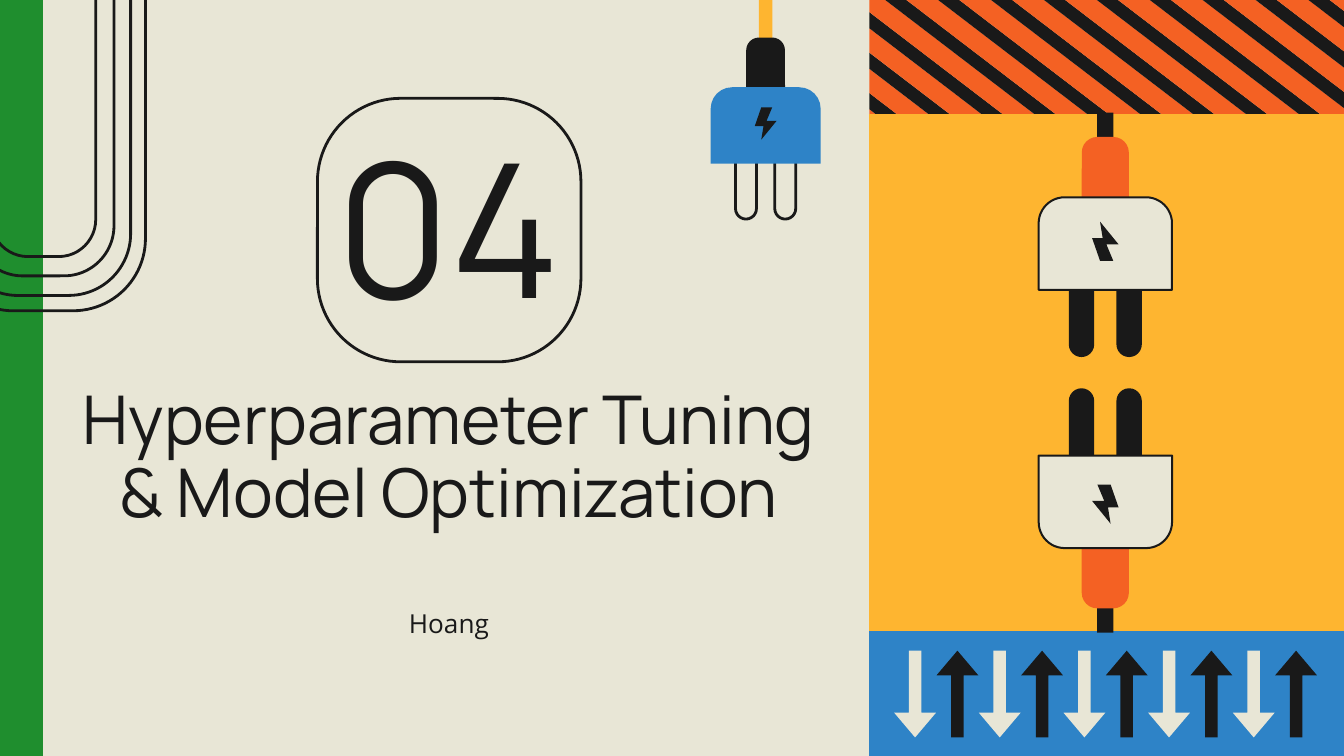
from pptx import Presentation
from pptx.dml.color import RGBColor
from pptx.enum.shapes import MSO_SHAPE as Kind
from pptx.enum.text import MSO_ANCHOR as Anchor, PP_ALIGN as Align
from pptx.util import Cm, Pt

INK, CREAM, GREEN = "191919", "E8E6D6", "1F8E2E"
BLUE, GOLD, RUST = "2E83C7", "FEB530", "F46123"
WIDE, HIGH = 25.4, 14.29
LEFT = 16.43
BOLT = [(-0.1, -0.37), (0.25, 0.06), (0.02, 0.06), (0.15, 0.37),
        (-0.1, 0.37), (-0.25, -0.06), (-0.05, -0.06)]


def color(code):
    return RGBColor.from_string(code)


def paint(shape, fill=None, line=None, width=0.75):
    shape.shadow.inherit = False
    if fill:
        shape.fill.solid()
        shape.fill.fore_color.rgb = color(fill)
    else:
        shape.fill.background()
    if line:
        shape.line.color.rgb = color(line)
        shape.line.width = Pt(width)
    else:
        shape.line.fill.background()


def block(slide, kind, box, fill=None, line=None, width=0.75, adjust=()):
    shape = slide.shapes.add_shape(kind, *[Cm(n) for n in box])
    for i, value in enumerate(adjust):
        shape.adjustments[i] = value
    paint(shape, fill, line, width)
    return shape


def outline(slide, points, fill):
    spots = [(Cm(x), Cm(y)) for x, y in points]
    pen = slide.shapes.build_freeform(*spots[0], scale=1.0)
    pen.add_line_segments(spots[1:], close=True)
    paint(pen.convert_to_shape(), fill)


def label(slide, box, lines, font, size, anchor=Anchor.TOP, top=0.25, space=1.0):
    frame = slide.shapes.add_textbox(*[Cm(n) for n in box]).text_frame
    frame.word_wrap = True
    frame.vertical_anchor = anchor
    frame.margin_left = frame.margin_right = frame.margin_bottom = Cm(0.25)
    frame.margin_top = Cm(top)
    frame.text = "\n".join(lines)
    for para in frame.paragraphs:
        para.alignment = Align.CENTER
        para.line_spacing = space
        para.font.name = font
        para.font.size = Pt(size)
        para.font.color.rgb = color(INK)
    return frame


def clip(points, edge, side):
    kept = []
    for (x, y), (u, v) in zip(points, points[1:] + points[:1]):
        if (x - edge) * side >= 0:
            kept.append((x, y))
        if (x - edge) * (u - edge) < 0:
            kept.append((edge, y + (v - y) * (edge - x) / (u - x)))
    return kept


def stripes(slide):
    base, run = 2.28, 2.98
    for i in range(13):
        x = 13.13 + i
        for start, end, fill in ((x, x + 0.6, RUST), (x + 0.6, x + 1, INK)):
            band = [(start, 0), (end, 0), (end + run, base), (start + run, base)]
            band = clip(clip(band, LEFT, 1), WIDE, -1)
            if len(band) > 2:
                outline(slide, band, fill)


def rails(slide):
    x, y = 0.82, -0.74
    for w, h in ((3.86, 13.23), (3.3, 12.65), (2.67, 11.91), (1.98, 11.18)):
        block(slide, Kind.ROUNDED_RECTANGLE, (x - w / 2, y - h / 2, w, h),
              line=INK, width=1.5, adjust=[0.354])


def plug(slide, x, y, wire, neck, body, prong, edge=None, size=1.0, turn=1, flip=(1, 1)):
    def part(kind, dx, dy, w, h, **look):
        dx, dy, w, h = [n * size for n in (dx, dy, w, h)]
        top = y + dy if turn > 0 else y - dy - h
        return block(slide, kind, (x + dx - w / 2, top, w, h), **look)

    tint, rise, drop = wire
    part(Kind.RECTANGLE, 0, -rise, 0.31, drop, fill=tint)
    part(Kind.ROUNDED_RECTANGLE, 0, -1.14, 0.89, 2, fill=neck, adjust=[0.33])
    for dx in (-0.45, 0.45):
        part(Kind.ROUNDED_RECTANGLE, dx, 0.71, 0.48, 2.31, adjust=[0.5], **prong)
    case = part(Kind.ROUND_2_SAME_RECTANGLE, 0, 0, 2.52, 1.75, fill=body,
                line=edge, width=1.09, adjust=[0.28, 0])
    case.rotation = 0 if turn > 0 else 180
    mid = y + turn * 0.83 * size
    outline(slide, [(x + a * size * flip[0], mid + b * size * flip[1])
                    for a, b in BOLT], INK)


def arrows(slide):
    looks = ((Kind.DOWN_ARROW, CREAM), (Kind.UP_ARROW, INK))
    for i in range(10):
        kind, fill = looks[i % 2]
        block(slide, kind, (16.9 + 0.8 * i, 12.3, 0.79, 1.64), fill,
              adjust=[0.3, 0.59])


def main():
    deck = Presentation()
    deck.slide_width, deck.slide_height = Cm(WIDE), Cm(HIGH)
    slide = deck.slides.add_slide(deck.slide_layouts[6])
    slide.background.fill.solid()
    slide.background.fill.fore_color.rgb = color(CREAM)

    block(slide, Kind.RECTANGLE, (0, 0, 0.81, HIGH), GREEN, GREEN)
    rails(slide)
    stripes(slide)
    for top, h, fill in ((2.16, 9.78, GOLD), (11.94, 2.35, BLUE)):
        block(slide, Kind.RECTANGLE, (LEFT, top, WIDE - LEFT, h), fill, fill)

    block(slide, Kind.ROUNDED_RECTANGLE, (6, 1.86, 4.98, 4.98),
          line=INK, width=1.5, adjust=[0.316])
    label(slide, (5.61, 2.82, 5.74, 3.07), ["04"], "Manrope", 100, Anchor.MIDDLE, 0)
    label(slide, (3.05, 11.23, 10.87, 1.19), ["Hoang"], "Open Sans", 14)
    title = label(slide, (0.61, 7.06, 15.75, 3.48),
                  ["Hyperparameter Tuning", "& Model Optimization"],
                  "Manrope", 36, space=0.9)
    title.paragraphs[0]._p.get_or_add_pPr().set("indent", str(Cm(-0.53)))

    for y, turn in ((3.73, 1), (10.36, -1)):
        plug(slide, 20.89, y, (INK, 1.6, 1.12), RUST, CREAM, {"fill": INK},
             INK, turn=turn, flip=(turn, turn))
    arrows(slide)
    plug(slide, 14.47, 1.65, (GOLD, 2, 1.78), INK, BLUE,
         {"line": INK, "width": 1.5}, size=0.825, flip=(1, -1))

    deck.save("out.pptx")


if __name__ == "__main__":
    main()
